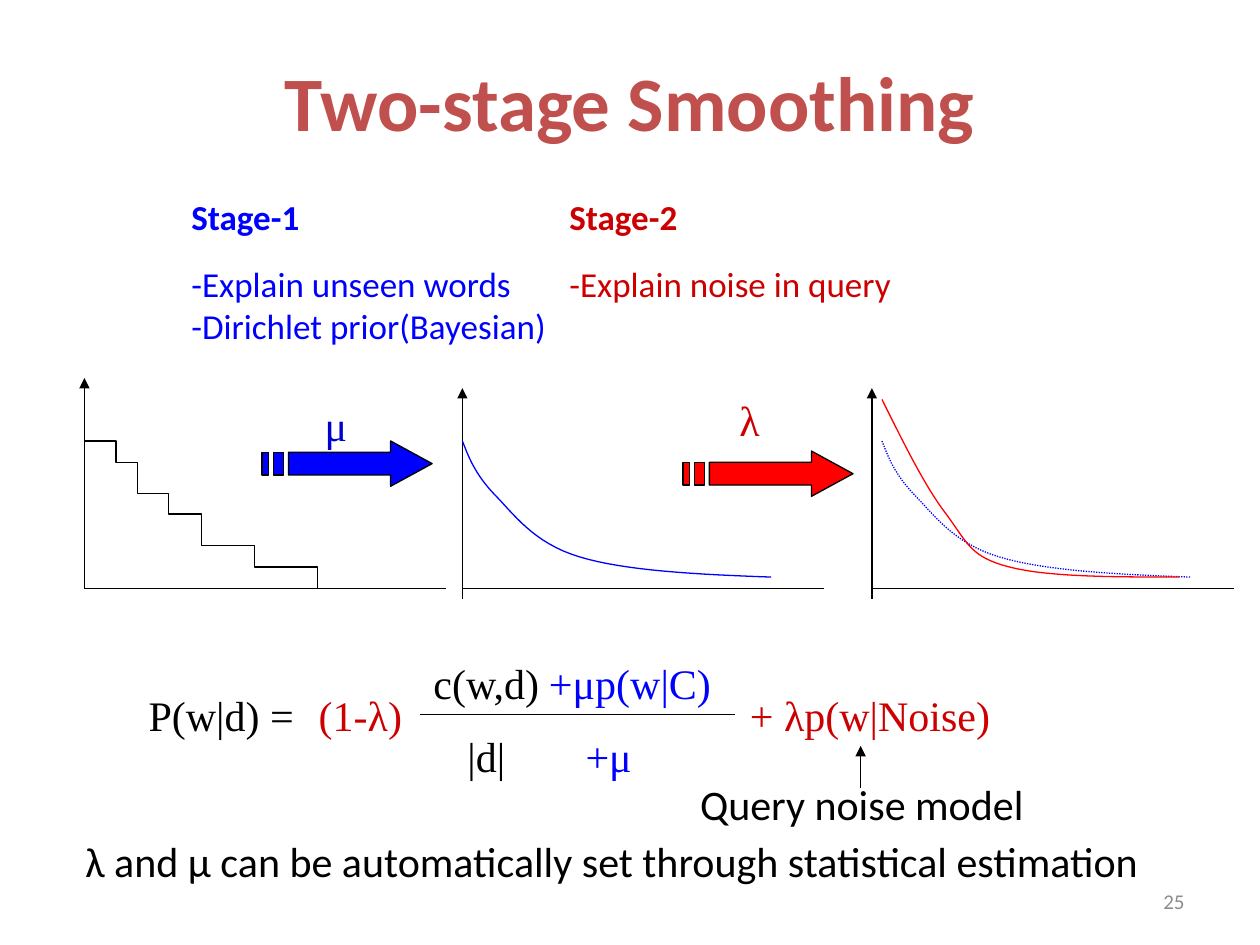
"""Build the two-stage smoothing slide."""
from dataclasses import dataclass
from typing import Optional

from lxml import etree
from pptx import Presentation
from pptx.dml.color import RGBColor
from pptx.enum import dml, shapes, text
from pptx.oxml import ns
from pptx.util import Inches, Pt

COLORS = {
    "title": "C0504D", "number": "8C8C8C", "black": "000000", "blue": "0000FF",
    "mu": "0000CC", "dark_red": "CC0000", "red": "FF0000",
}
SANS, SERIF = "Calibri", "Times New Roman"
CENTER, LEFT, RIGHT = text.PP_ALIGN.CENTER, text.PP_ALIGN.LEFT, text.PP_ALIGN.RIGHT
Point = tuple[float, float]


@dataclass
class Label:
    words: str
    left: float
    top: float
    width: float
    color: str = "black"
    font: str = SERIF
    size: float = 24
    height: float = 0.5
    align: text.PP_ALIGN = CENTER
    bold: bool = False
    wrap: bool = False


@dataclass
class Stage:
    lines: list[str]
    left: float
    width: float
    height: float
    color: str


@dataclass
class Axes:
    left: float
    top: float
    bottom: float


@dataclass
class Curve:
    left: float
    top: float
    beziers: list[tuple[Point, Point, Point]]
    color: str
    dash: Optional[dml.MSO_LINE] = None


@dataclass
class StripedArrow:
    left: float
    top: float
    color: str


LABELS = [
    Label("Two-stage Smoothing", 0.75, 0.17, 8.5, "title", SANS, 44, 1.25, bold=True, wrap=True),
    Label("25", 7.17, 6.95, 2.33, "number", SANS, 12, 0.4, RIGHT, wrap=True),
    Label("c(w,d)", 3.33, 5.17, 1.06),
    Label("|d|", 3.61, 5.75, 0.5),
    Label("P(w|d) =", 1.08, 5.42, 1.35),
    Label("+μp(w|C)", 4.25, 5.17, 1.5, "blue"),
    Label("+μ", 4.54, 5.75, 0.58, "blue"),
    Label("μ", 2.47, 3.12, 0.39, "mu"),
    Label("(1-λ)", 2.42, 5.42, 0.88, "dark_red"),
    Label("+ λp(w|Noise)", 5.83, 5.42, 2.15, "dark_red"),
    Label("λ", 5.76, 3.08, 0.38, "dark_red"),
    Label("Query noise model", 5.44, 6.13, 2.8, font=SANS),
    Label("λ and μ can be automatically set through statistical estimation",
          0.48, 6.58, 8.75, font=SANS),
]
STAGES = [
    Stage(["Stage-1", "-Explain unseen words", "-Dirichlet prior(Bayesian)"], 1.42, 3.09, 1.3, "blue"),
    Stage(["Stage-2", "-Explain noise in query"], 4.42, 2.82, 0.98, "dark_red"),
]
AXES = [Axes(0.67, 3, 4.67), Axes(3.67, 3.08, 4.75), Axes(6.92, 3.08, 4.75)]
AXIS_Y, AXIS_WIDTH = 4.67, 2.87
STEPS = [(0.92, 3.5), (1.09, 3.67), (1.34, 3.92), (1.6, 4.08), (2.02, 4.33), (2.52, 4.5), (2.95, 4.67)]
DECAY = [
    ((0.05, 0.13), (0.1, 0.26), (0.25, 0.42)),
    ((0.4, 0.57), (0.56, 0.81), (0.93, 0.92)),
    ((1.29, 1.03), (1.87, 1.06), (2.45, 1.08)),
]
NOISY_DECAY = [
    ((0.17, 0.34), (0.34, 0.69), (0.51, 0.91)),
    ((0.68, 1.14), (0.7, 1.25), (1.01, 1.33)),
    ((1.32, 1.41), (1.84, 1.41), (2.36, 1.41)),
]
CURVES = [
    Curve(3.67, 3.5, DECAY, "blue"),
    Curve(7, 3.5, DECAY, "blue", dml.MSO_LINE.ROUND_DOT),
    Curve(7, 3.17, NOISY_DECAY, "red"),
]
ARROWS = [StripedArrow(2.08, 3.5, "blue"), StripedArrow(5.42, 3.58, "red")]
ARROW_HEAD = [(1.02, 0), (1.02, 0.09), (0.21, 0.09), (0.21, 0.27), (1.02, 0.27), (1.02, 0.36), (1.35, 0.18)]
ARROW_STRIPES = [(0.09, 0.17), (0, 0.05)]


def rgb(name: str) -> RGBColor:
    """Look up a named colour."""
    return RGBColor.from_string(COLORS[name])


def add_text_box(slide, left: float, top: float, width: float, height: float, wrap: bool):
    """Add a text box and return its text frame."""
    frame = slide.shapes.add_textbox(Inches(left), Inches(top), Inches(width), Inches(height)).text_frame
    frame.word_wrap = wrap
    frame.auto_size = text.MSO_AUTO_SIZE.NONE if wrap else text.MSO_AUTO_SIZE.SHAPE_TO_FIT_TEXT
    frame.vertical_anchor = text.MSO_ANCHOR.MIDDLE if wrap else text.MSO_ANCHOR.TOP
    return frame


def format_paragraph(paragraph, font: str, size: float, color: str, bold: bool, align: text.PP_ALIGN) -> None:
    """Align a paragraph and format its runs."""
    paragraph.alignment = align
    for run in paragraph.runs:
        run.font.name, run.font.size, run.font.bold = font, Pt(size), bold
        run.font.color.rgb = rgb(color)


def add_label(slide, label: Label) -> None:
    """Add a one-line label."""
    frame = add_text_box(slide, label.left, label.top, label.width, label.height, label.wrap)
    frame.text = label.words
    format_paragraph(frame.paragraphs[0], label.font, label.size, label.color, label.bold, label.align)


def add_stage(slide, stage: Stage) -> None:
    """Add a stage heading with its explanations."""
    frame = add_text_box(slide, stage.left, 1.5, stage.width, stage.height, False)
    frame.text = "\n".join(stage.lines)
    for index, paragraph in enumerate(frame.paragraphs):
        format_paragraph(paragraph, SANS, 20, stage.color, index == 0, LEFT)
    frame.paragraphs[1].space_before = Pt(14.5)


def add_line(slide, start: Point, end: Point, arrow: bool = False) -> None:
    """Add a straight black line, optionally with an arrowhead at its end."""
    line = slide.shapes.add_connector(
        shapes.MSO_CONNECTOR.STRAIGHT, *(Inches(value) for value in start + end))
    line.line.color.rgb = rgb("black")
    line.line.width = Pt(0.75)
    if arrow:
        etree.SubElement(line.line._get_or_add_ln(), ns.qn("a:tailEnd"), type="triangle")
    etree.SubElement(line._element.spPr, ns.qn("a:effectLst"))


def add_outline(slide, contours: list[list[Point]], color: str, fill: Optional[str] = None):
    """Add a freeform from contours, closed when it is filled."""
    first, *others = [[(Inches(x), Inches(y)) for x, y in contour] for contour in contours]
    builder = slide.shapes.build_freeform(*first[0])
    builder.add_line_segments(first[1:], close=fill is not None)
    for contour in others:
        builder.move_to(*contour[0])
        builder.add_line_segments(contour[1:], close=fill is not None)
    shape = builder.convert_to_shape()
    shape.shadow.inherit = False
    shape.line.color.rgb = rgb(color)
    shape.line.width = Pt(0.75)
    if fill:
        shape.fill.solid()
        shape.fill.fore_color.rgb = rgb(fill)
    else:
        shape.fill.background()
    return shape


def shift(points: list[Point], left: float, top: float) -> list[Point]:
    """Move points by an offset."""
    return [(left + x, top + y) for x, y in points]


def add_curve(slide, curve: Curve, samples: int = 16) -> None:
    """Add a smooth curve sampled from its Bezier segments."""
    points = [(0, 0)]
    for controls in curve.beziers:
        corners = (points[-1], *controls)
        for step in range(1, samples + 1):
            t = step / samples
            weights = ((1 - t) ** 3, 3 * t * (1 - t) ** 2, 3 * t * t * (1 - t), t ** 3)
            points.append(tuple(sum(w * c[axis] for w, c in zip(weights, corners)) for axis in (0, 1)))
    shape = add_outline(slide, [shift(points, curve.left, curve.top)], curve.color)
    if curve.dash:
        shape.line.dash_style = curve.dash


def add_striped_arrow(slide, arrow: StripedArrow) -> None:
    """Add a block arrow with two stripes behind it."""
    stripes = [[(a, 0.09), (a, 0.27), (b, 0.27), (b, 0.09)] for a, b in ARROW_STRIPES]
    contours = [shift(points, arrow.left, arrow.top) for points in [ARROW_HEAD, *stripes]]
    add_outline(slide, contours, "black", arrow.color)


def main() -> None:
    """Draw the slide and save it."""
    presentation = Presentation()
    presentation.slide_width, presentation.slide_height = Inches(10), Inches(7.5)
    slide = presentation.slides.add_slide(presentation.slide_layouts[6])
    for label in LABELS:
        add_label(slide, label)
    for stage in STAGES:
        add_stage(slide, stage)
    for axes in AXES:
        add_line(slide, (axes.left, AXIS_Y), (axes.left + AXIS_WIDTH, AXIS_Y))
        add_line(slide, (axes.left, axes.bottom), (axes.left, axes.top), arrow=True)
    stairs, x = [], AXES[0].left
    for right, y in STEPS:
        stairs += [(x, y), (right, y)]
        x = right
    add_outline(slide, [stairs], "black")
    for curve in CURVES:
        add_curve(slide, curve)
    for arrow in ARROWS:
        add_striped_arrow(slide, arrow)
    add_line(slide, (3.33, 5.67), (5.83, 5.67))
    add_line(slide, (6.83, 6.25), (6.83, 5.92), arrow=True)
    presentation.save("out.pptx")


if __name__ == "__main__":
    main()
